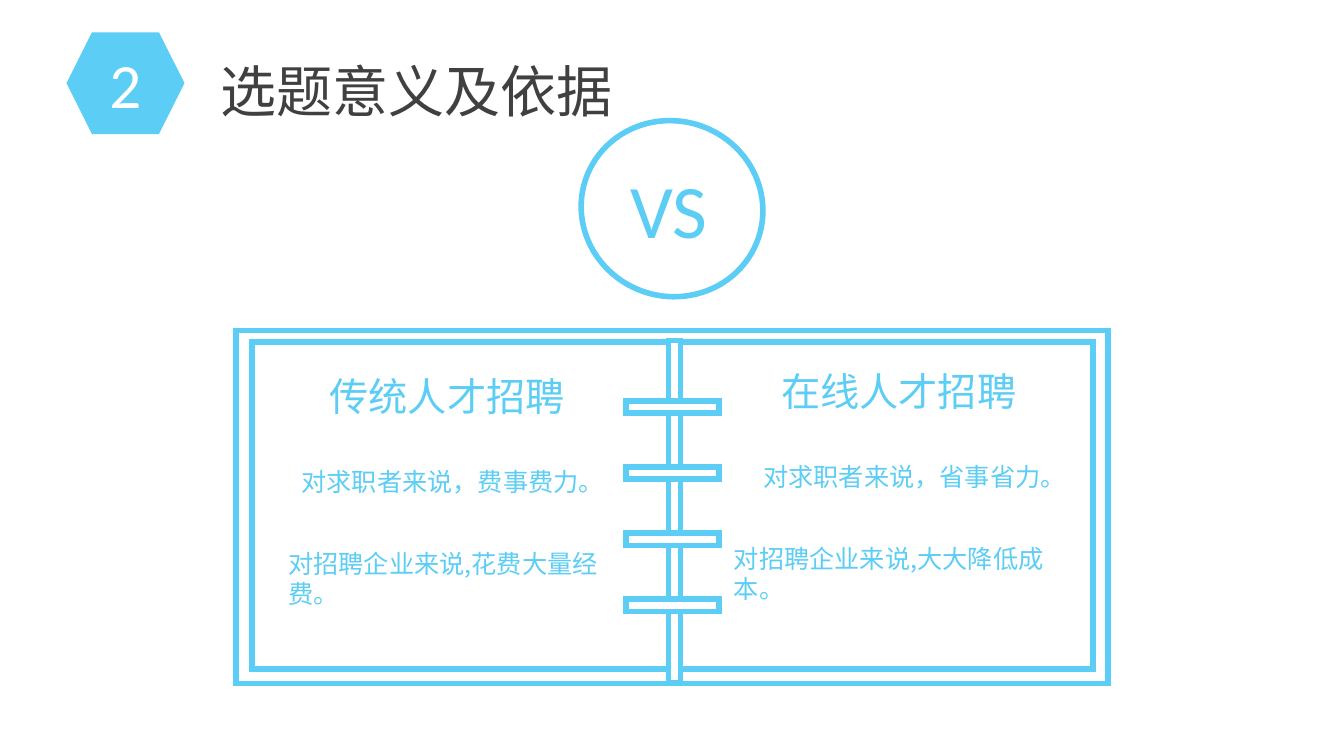
"""Build the slide comparing traditional and online recruitment."""
import pptx
import pptx.dml.color
import pptx.enum.shapes
import pptx.enum.text
import pptx.oxml.ns
import pptx.util
from lxml import etree

Inches = pptx.util.Inches
SHAPES = pptx.enum.shapes.MSO_SHAPE
ANCHOR = pptx.enum.text.MSO_ANCHOR
ALIGN = pptx.enum.text.PP_ALIGN
COLOURS = {"sky": "5CCDF5", "white": "FFFFFF", "title": "404040"}
CJK = "Noto Sans CJK SC"


def write(box, text, size, font, colour, margin=0.05, wrap=True,
          align=ALIGN.LEFT, anchor=ANCHOR.TOP):
    """Put one formatted run into a shape."""
    frame = box.text_frame
    frame.auto_size = pptx.enum.text.MSO_AUTO_SIZE.NONE
    frame.word_wrap = wrap
    frame.vertical_anchor = anchor
    frame.margin_left = frame.margin_right = Inches(margin)
    frame.margin_top = frame.margin_bottom = Inches(margin)
    para = frame.paragraphs[0]
    para.alignment = align
    para.line_spacing = 1.0
    span = para.add_run()
    span.text = text
    span.font.size = pptx.util.Pt(size)
    span.font.name = font
    span.font.color.rgb = pptx.dml.color.RGBColor.from_string(COLOURS[colour])
    east_asian = etree.Element(pptx.oxml.ns.qn("a:ea"), typeface=font)
    span.font._element.find(pptx.oxml.ns.qn("a:latin")).addnext(east_asian)


def draw(page, kind, place, fill):
    """Add a preset shape with a sharp-cornered sky-blue outline."""
    shape = page.shapes.add_shape(kind, *map(Inches, place))
    shape.shadow.inherit = False
    shape.fill.solid()
    shape.fill.fore_color.rgb = pptx.dml.color.RGBColor.from_string(COLOURS[fill])
    shape.line.color.rgb = pptx.dml.color.RGBColor.from_string(COLOURS["sky"])
    shape.line.width = pptx.util.Pt(4)
    outline = shape._element.spPr.find(pptx.oxml.ns.qn("a:ln"))
    etree.SubElement(outline, pptx.oxml.ns.qn("a:miter"), lim="800000")
    return shape


deck = pptx.Presentation()
deck.slide_width, deck.slide_height = Inches(13.33), Inches(7.5)
page = deck.slides.add_slide(deck.slide_layouts[5])

title = page.shapes.title
title.left, title.top = Inches(2.14), Inches(0.51)
title.width, title.height = Inches(5.1), Inches(0.77)
write(title, "选题意义及依据", 40, CJK, "title")

badge = draw(page, SHAPES.HEXAGON, (0.66, 0.32, 1.17, 1.01), "sky")
badge.line.fill.background()
write(badge, "2", 45, "Calibri", "white", margin=0, align=ALIGN.CENTER,
      anchor=ANCHOR.MIDDLE)

cover = (2.34, 3.28, 8.65, 3.5)
sheet = (2.5, 3.39, 8.34, 3.25)
spine = (6.63, 3.38, 0.12, 3.39)
rings = [(6.21, 3.98 + 0.655 * row, 0.92, 0.12) for row in range(4)]
for place in [cover, sheet, spine, *rings]:
    draw(page, SHAPES.RECTANGLE, place, "white")

circle = draw(page, SHAPES.OVAL, (5.76, 1.2, 1.81, 1.74), "white")
circle.rotation = 198.7

labels = [
    ((3.22, 3.64, 2.55, 0.57), "传统人才招聘", 28, CJK, 0.05, True),
    ((2.94, 4.58, 3.13, 0.4), "对求职者来说，费事费力。", 18, CJK, 0.05, False),
    ((2.81, 5.39, 3.4, 0.7), "对招聘企业来说,花费大量经费。", 18, CJK, 0.05, True),
    ((7.75, 3.64, 2.48, 0.47), "在线人才招聘", 28, CJK, 0, True),
    ((7.57, 4.58, 3.03, 0.3), "对求职者来说，省事省力。", 18, CJK, 0, False),
    ((7.28, 5.39, 3.3, 0.6), "对招聘企业来说,大大降低成本。", 18, CJK, 0, True),
    ((6.2, 1.57, 0.93, 0.99), "VS", 54, "Calibri", 0.05, True),
]
for place, text, size, font, margin, wrap in labels:
    box = page.shapes.add_textbox(*map(Inches, place))
    write(box, text, size, font, "sky", margin, wrap)

deck.save("out.pptx")
